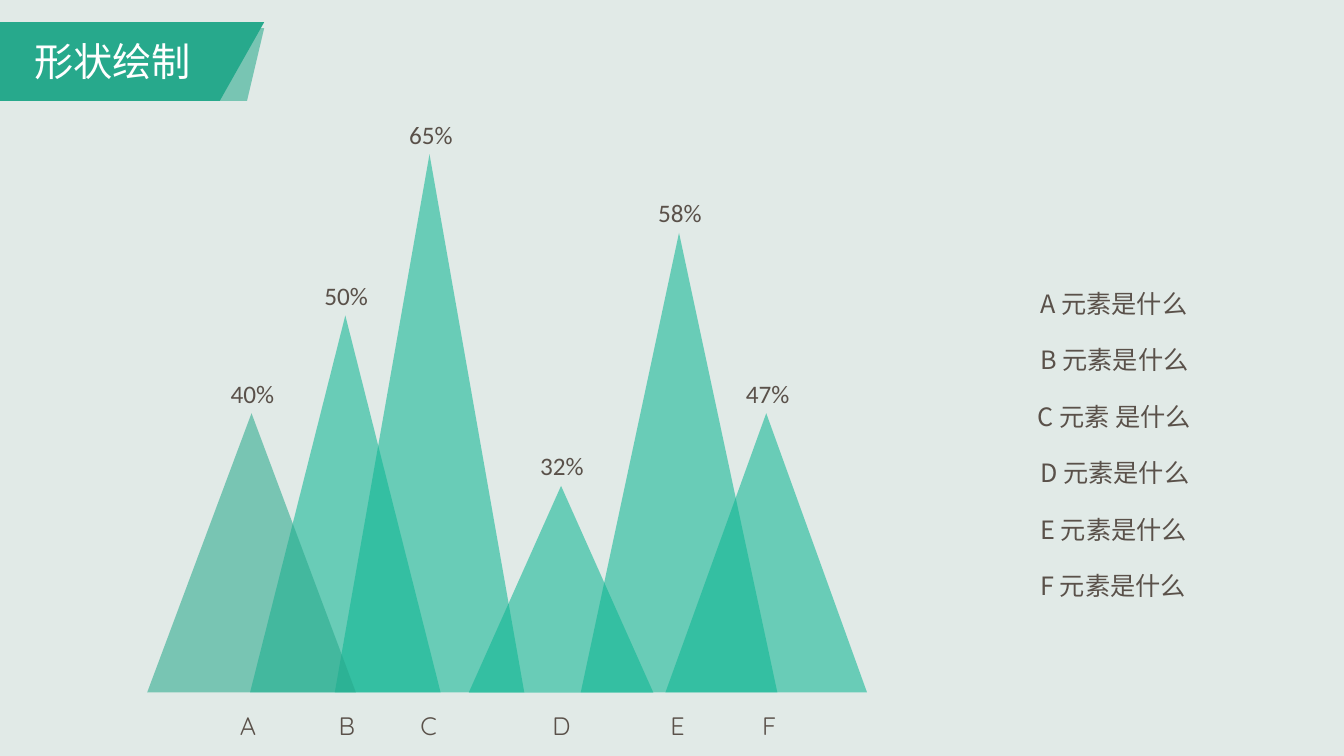
from lxml import etree
from pptx import Presentation
from pptx import util as u
from pptx.dml.color import RGBColor
from pptx.enum import shapes, text
from pptx.oxml.ns import qn

PX = 9144  # EMU per px, 100 px to the inch
COLORS = {"back": "E1EAE7", "banner": "27A98C", "peak": "0CB692",
          "ink": "5A514A", "white": "FFFFFF"}
CJK = "Noto Sans CJK JP"
BASELINE = 687

# letter: (peak left, peak top, peak width, percent, letter left, letter width)
PEAKS = {
    "B": (248, 313, 189, "50%", 326, 35),
    "C": (332, 153, 188, "65%", 407, 41),
    "D": (465, 482, 183, "32%", 538, 39),
    "E": (576, 231, 195, "58%", 655, 34),
    "F": (660, 410, 200, "47%", 746, 32),
    "A": (146, 410, 207, "40%", 228, 39),
}
LEGEND = ["A 元素是什么", "B 元素是什么", "C 元素 是什么",
          "D 元素是什么", "E 元素是什么", "F 元素是什么"]


class Painter:
    def __init__(self, deck):
        self.slide = deck.slides.add_slide(deck.slide_layouts[6])
        self.background(COLORS["back"])

    def background(self, color):
        fill = self.slide.background.fill
        fill.solid()
        fill.fore_color.rgb = RGBColor.from_string(color)

    def paint(self, shape, color, opacity=100):
        shape.shadow.inherit = False
        shape.line.fill.background()
        shape.fill.solid()
        shape.fill.fore_color.rgb = RGBColor.from_string(COLORS[color])
        if opacity < 100:
            tint = shape.fill._xPr.find(".//" + qn("a:srgbClr"))
            etree.SubElement(tint, qn("a:alpha")).set("val", str(opacity * 1000))

    def polygon(self, points, color, opacity=100):
        builder = self.slide.shapes.build_freeform(*points[0], scale=PX)
        builder.add_line_segments(points[1:], close=True)
        self.paint(builder.convert_to_shape(), color, opacity)

    def triangle(self, left, top, width, height, color, opacity):
        shape = self.slide.shapes.add_shape(
            shapes.MSO_SHAPE.ISOSCELES_TRIANGLE,
            left * PX, top * PX, width * PX, height * PX)
        self.paint(shape, color, opacity)

    def label(self, words, left, top, width, height=40, font=CJK, size=18,
              color="ink", align=text.PP_ALIGN.LEFT, wrap=False):
        box = self.slide.shapes.add_textbox(
            left * PX, top * PX, width * PX, height * PX)
        frame = box.text_frame
        frame.text = words
        frame.word_wrap = wrap
        frame.auto_size = text.MSO_AUTO_SIZE.SHAPE_TO_FIT_TEXT
        para = frame.paragraphs[0]
        para.alignment = align
        span = para.runs[0]
        span.font.size = u.Pt(size)
        span.font.color.rgb = RGBColor.from_string(COLORS[color])
        span.font.name = font
        etree.SubElement(span.font._element, qn("a:ea")).set("typeface", font)


def main():
    deck = Presentation()
    deck.slide_width, deck.slide_height = u.Inches(13.33), u.Inches(7.5)
    page = Painter(deck)

    # Title banner
    page.polygon([(0, 28), (262, 28), (245, 100), (0, 100)], "banner", 56)
    page.polygon([(0, 22), (262, 22), (218, 100), (0, 100)], "banner")
    page.label("形状绘制", -2, 32, 227, 57, size=28, color="white",
               align=text.PP_ALIGN.CENTER, wrap=True)

    # Peaks, all standing on the baseline
    for letter, (left, top, width, *_) in PEAKS.items():
        color = "banner" if letter == "A" else "peak"
        page.triangle(left, top, width, BASELINE - top, color, 56)

    # Percentages above the tips, letters under the baseline
    for letter, (left, top, width, percent, letter_left, letter_width) in PEAKS.items():
        page.label(percent, left + width // 2 - 30, top - 40, 64, font="Calibri")
        page.label(letter, letter_left, 700, letter_width, font="Quicksand")

    # Legend
    for row, words in enumerate(LEGEND):
        left = 1019 if words.startswith("C") else 1022
        page.label(words, left, 281 + 56 * row, 207, wrap=True)

    deck.save("out.pptx")


if __name__ == "__main__":
    main()
